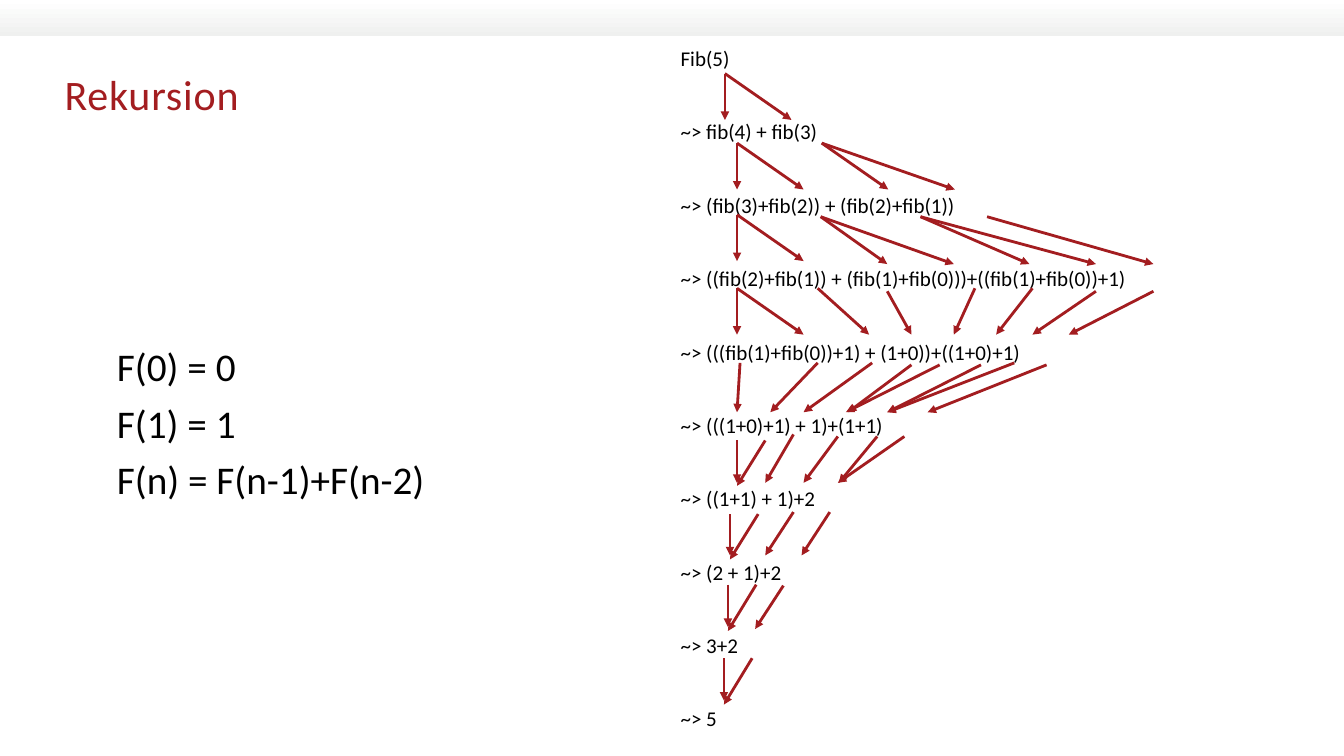
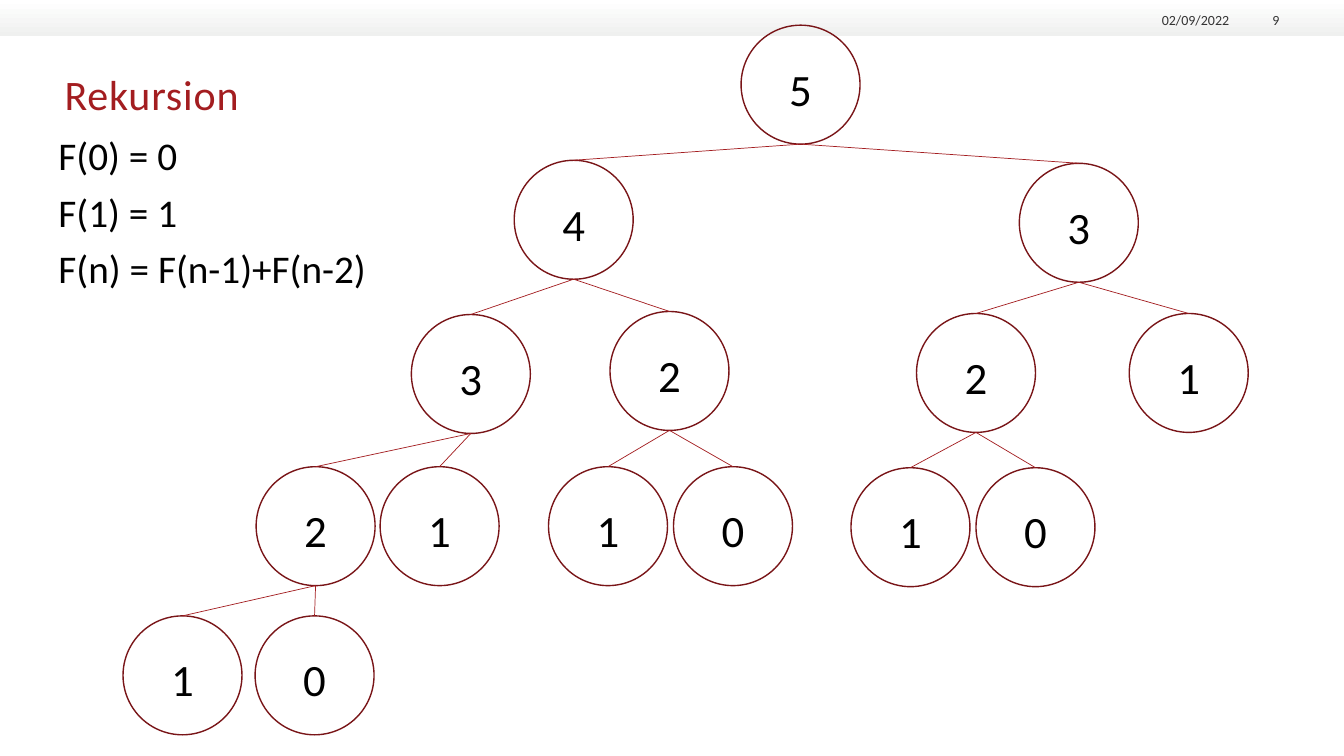
from dataclasses import dataclass

from lxml import etree
from pptx import Presentation
from pptx import util as u
from pptx.dml.color import RGBColor
from pptx.enum import shapes, text
from pptx.oxml import ns

PX = 9144  # EMU per px, 100 px to the inch
SLIDE_W, SLIDE_H = 1333, 750
FONT = "Calibri"
COLORS = {
    "accent": "A31D20",
    "ring": "791518",
    "ink": "000000",
    "footer": "333333",
    "band_top": "FFFFFF",
    "band_bottom": "EFF0EF",
}
NODE_SIZE = 118

FORMULA = ["F(0) = 0", "F(1) = 1", "F(n) = F(n-1)+F(n-2)"]
STEPS = [
    "Fib(5)",
    "~> fib(4) + fib(3)",
    "~> (fib(3)+fib(2)) + (fib(2)+fib(1))",
    "~> ((fib(2)+fib(1)) + (fib(1)+fib(0)))+((fib(1)+fib(0))+1)",
    "~> (((fib(1)+fib(0))+1) + (1+0))+((1+0)+1)",
    "~> (((1+0)+1) + 1)+(1+1)",
    "~> ((1+1) + 1)+2",
    "~> (2 + 1)+2",
    "~> 3+2",
    "~> 5",
]


@dataclass(frozen=True)
class Box:
    left: int
    top: int
    width: int
    height: int

    def emu(self) -> tuple[int, ...]:
        return tuple(v * PX for v in (self.left, self.top, self.width, self.height))


@dataclass(frozen=True)
class ArrowRow:
    """Arrows that share start and end heights; spans hold (start x, end x)."""
    start_y: int
    end_y: int
    spans: tuple[tuple[int, int], ...]


@dataclass(frozen=True)
class Call:
    """One call in the recursion tree, with the calls it makes."""
    n: int
    left: int
    top: int
    children: tuple["Call", ...] = ()


ARROW_ROWS = [
    ArrowRow(73, 119, ((719, 719), (719, 785))),
    ArrowRow(142, 188, ((731, 731), (731, 797), (815, 881), (815, 947))),
    ArrowRow(213, 259, ((731, 731), (731, 797))),
    ArrowRow(215, 262, ((814, 880), (814, 946), (913, 1021), (913, 1087), (979, 1144))),
    ArrowRow(286, 332, ((731, 731), (731, 797), (811, 862), (967, 946), (1024, 988))),
    ArrowRow(289, 332, ((880, 904), (1087, 1024), (1144, 1060))),
    ArrowRow(360, 409, ((734, 731), (811, 764), (865, 797), (1006, 880))),
    ArrowRow(362, 409, ((904, 841), (932, 839), (973, 880), (1038, 920))),
    ArrowRow(437, 479, ((731, 731),)),
    ArrowRow(437, 482, ((759, 731),)),
    ArrowRow(431, 479, ((787, 759),)),
    ArrowRow(433, 479, ((831, 797), (870, 832), (897, 831))),
    ArrowRow(510, 551, ((724, 724),)),
    ArrowRow(510, 555, ((752, 724),)),
    ArrowRow(508, 551, ((787, 759), (823, 795))),
    ArrowRow(580, 622, ((722, 722),)),
    ArrowRow(580, 626, ((750, 722),)),
    ArrowRow(581, 624, ((777, 749),)),
    ArrowRow(653, 695, ((718, 718),)),
    ArrowRow(653, 699, ((746, 718),)),
]

CALL_TREE = Call(5, 735, 25, (
    Call(4, 510, 159, (
        Call(3, 408, 312, (
            Call(2, 254, 463, (Call(1, 122, 611), Call(0, 253, 611))),
            Call(1, 377, 463),
        )),
        Call(2, 605, 309, (Call(1, 544, 463), Call(0, 668, 463))),
    )),
    Call(3, 1011, 162, (
        Call(2, 909, 311, (Call(1, 844, 464), Call(0, 968, 464))),
        Call(1, 1120, 311),
    )),
))


def rgb(name: str) -> RGBColor:
    return RGBColor.from_string(COLORS[name])


def style_runs(paragraph, size: float, color: str) -> None:
    for run in paragraph.runs:
        run.font.name, run.font.size = FONT, u.Pt(size)
        run.font.color.rgb = rgb(color)


def set_insets(frame, top: int = 0) -> None:
    frame.margin_left = frame.margin_right = frame.margin_bottom = 0
    frame.margin_top = top * PX


def place(shape, box: Box) -> None:
    shape.left, shape.top, shape.width, shape.height = box.emu()


# Shared parts
def add_master_band(prs, slide) -> None:
    band = slide.shapes.add_shape(shapes.MSO_SHAPE.RECTANGLE, *Box(0, 0, SLIDE_W, 36).emu())
    band.shadow.inherit = False
    band.line.fill.background()
    band.fill.gradient()
    band.fill.gradient_angle = 270
    for stop, position, color in zip(band.fill.gradient_stops, (0, 1), ("band_top", "band_bottom")):
        stop.position, stop.color.rgb = position, rgb(color)
    prs.slide_master.element.cSld.spTree.insert(2, band.element)


def set_title(slide, title: str) -> None:
    heading = slide.shapes.title
    place(heading, Box(64, 68, 1204, 95))
    frame = heading.text_frame
    frame.text = title
    frame.auto_size = text.MSO_AUTO_SIZE.NONE
    frame.vertical_anchor = text.MSO_ANCHOR.TOP
    set_insets(frame)
    paragraph = frame.paragraphs[0]
    paragraph.alignment = text.PP_ALIGN.LEFT
    style_runs(paragraph, 30, "accent")
    paragraph.runs[0].font._element.set("spc", "60")


def fill_body(body, box: Box, lines: list[str], size: float, gap: float) -> None:
    place(body, box)
    frame = body.text_frame
    frame.text = "\n".join(lines)
    frame.auto_size = text.MSO_AUTO_SIZE.NONE
    for i, paragraph in enumerate(frame.paragraphs):
        props = paragraph._p.get_or_add_pPr()
        props.set("marL", "0")
        props.set("indent", "0")
        etree.SubElement(props, ns.qn("a:buNone"))
        paragraph.line_spacing = 0.9
        paragraph.space_before = u.Pt(gap if i else 0)
        style_runs(paragraph, size, "ink")


def add_formula(body, left: int, top: int) -> None:
    fill_body(body, Box(left, top, 387, 179), FORMULA, 28, 10)


def add_header_text(slide, box: Box, label: str) -> None:
    frame = slide.shapes.add_textbox(*box.emu()).text_frame
    frame.word_wrap = True
    frame.vertical_anchor = text.MSO_ANCHOR.BOTTOM
    set_insets(frame)
    frame.text = label
    frame.paragraphs[0].alignment = text.PP_ALIGN.RIGHT
    style_runs(frame.paragraphs[0], 10, "footer")


def add_line(slide, start: tuple[int, int], end: tuple[int, int], width: float,
             arrow: bool = False):
    line = slide.shapes.add_connector(
        shapes.MSO_CONNECTOR.STRAIGHT, *(v * PX for v in (*start, *end)))
    line.line.color.rgb = rgb("accent")
    line.line.width = u.Pt(width)
    if arrow:
        etree.SubElement(line.line._get_or_add_ln(), ns.qn("a:tailEnd"), type="triangle")
    etree.SubElement(line.element.spPr, ns.qn("a:effectLst"))
    return line


# Recursion tree
def add_call(slide, call: Call):
    circle = slide.shapes.add_shape(
        shapes.MSO_SHAPE.OVAL, *Box(call.left, call.top, NODE_SIZE, NODE_SIZE).emu())
    circle.shadow.inherit = False
    circle.fill.background()
    circle.line.color.rgb = rgb("ring")
    circle.line.width = u.Pt(1)
    frame = circle.text_frame
    frame.text = str(call.n)
    frame.vertical_anchor = text.MSO_ANCHOR.MIDDLE
    set_insets(frame, top=7)
    frame.paragraphs[0].alignment = text.PP_ALIGN.CENTER
    style_runs(frame.paragraphs[0], 32, "ink")

    middle = NODE_SIZE // 2
    for child in call.children:
        child_circle = add_call(slide, child)
        branch = add_line(slide, (call.left + middle, call.top + NODE_SIZE),
                          (child.left + middle, child.top), 0.5)
        branch.end_connect(child_circle, 0)
    return circle


def build_expansion(prs):
    slide = prs.slides.add_slide(prs.slide_layouts.get_by_name("Two Content"))
    set_title(slide, "Rekursion")
    steps, formula = list(slide.placeholders)[1:3]
    fill_body(steps, Box(665, 43, 562, 707), STEPS, 15, 36.2)
    add_formula(formula, 106, 340)
    for row in ARROW_ROWS:
        for start_x, end_x in row.spans:
            add_line(slide, (start_x, row.start_y), (end_x, row.end_y), 2, arrow=True)
    return slide


def build_tree(prs) -> None:
    slide = prs.slides.add_slide(prs.slide_layouts.get_by_name("Title and Content"))
    set_title(slide, "Rekursion")
    add_formula(slide.placeholders[1], 48, 131)
    add_header_text(slide, Box(1130, 9, 89, 19), "02/09/2022")
    add_header_text(slide, Box(1227, 9, 42, 19), "9")
    add_call(slide, CALL_TREE)


def main() -> None:
    prs = Presentation()
    prs.slide_width, prs.slide_height = SLIDE_W * PX, SLIDE_H * PX
    add_master_band(prs, build_expansion(prs))
    build_tree(prs)
    prs.save("out.pptx")


if __name__ == "__main__":
    main()
